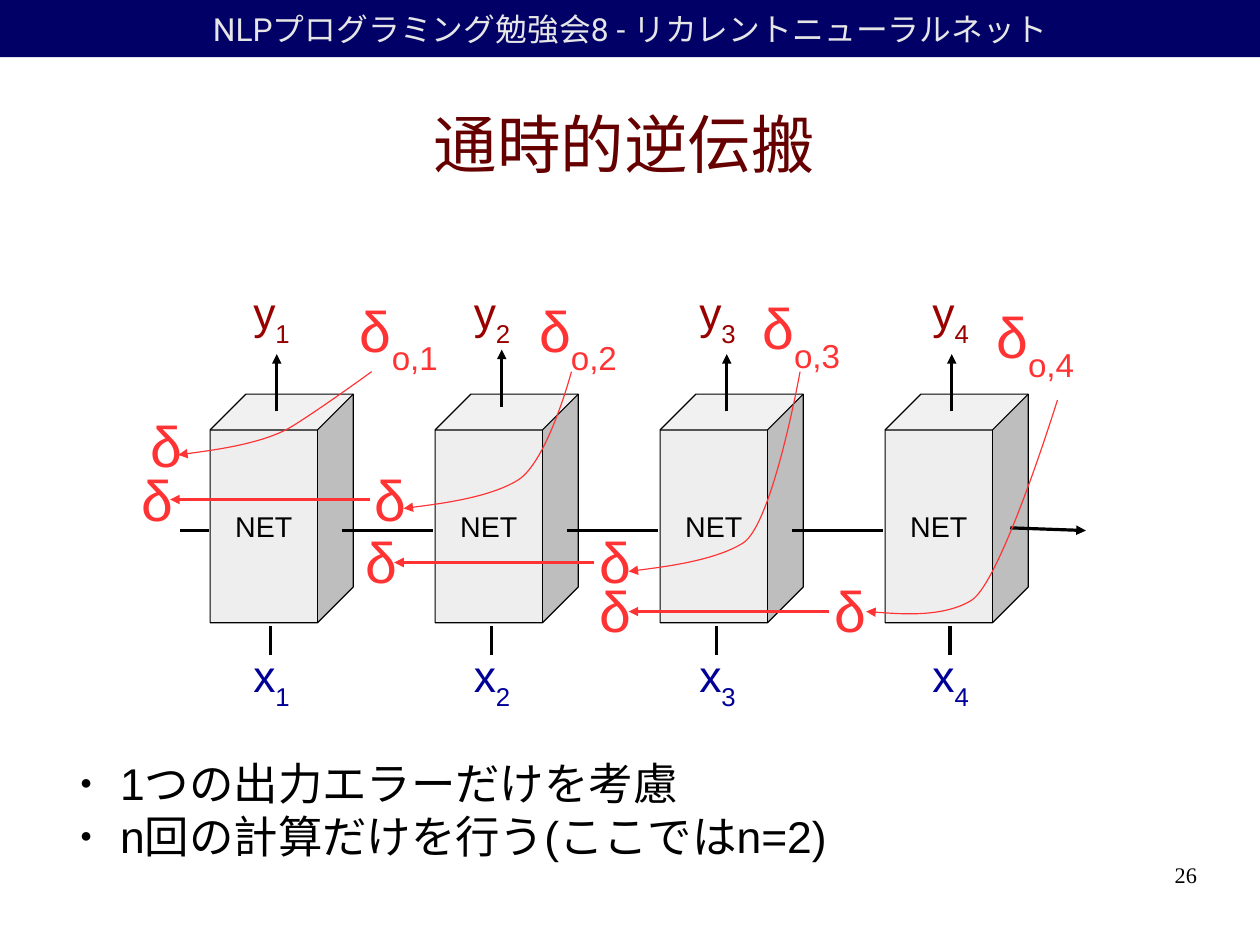
import dataclasses

import lxml.etree
import pptx
import pptx.dml.color
import pptx.enum.shapes
import pptx.enum.text
import pptx.oxml.ns
import pptx.util

Cm = pptx.util.Cm
Pt = pptx.util.Pt
RGB = pptx.dml.color.RGBColor.from_string
qn = pptx.oxml.ns.qn
SHAPE = pptx.enum.shapes.MSO_SHAPE
STRAIGHT = pptx.enum.shapes.MSO_CONNECTOR.STRAIGHT
ALIGN = pptx.enum.text.PP_ALIGN
ANCHOR = pptx.enum.text.MSO_ANCHOR
NO_FIT = pptx.enum.text.MSO_AUTO_SIZE.NONE


@dataclasses.dataclass(frozen=True)
class Theme:
    font: str = "Arial"
    banner_font: str = "Roboto"
    number_font: str = "Times New Roman"
    banner: str = "000066"
    banner_text: str = "E6E6E6"
    title: str = "660000"
    ink: str = "000000"
    cube: str = "EEEEEE"
    input: str = "000099"
    output: str = "990000"
    error: str = "FF3333"
    title_size: int = 40
    error_size: int = 36
    body_size: int = 28
    banner_size: int = 20
    net_size: int = 18
    number_size: int = 14


theme = Theme()
deck = pptx.Presentation()
deck.slide_width, deck.slide_height = Cm(28), Cm(21)
page = deck.slides.add_slide(deck.slide_layouts[1])
shapes = page.shapes


def write(box, text, size, color, font=theme.font, align=ALIGN.LEFT, subscript=""):
    para = box.text_frame.paragraphs[0]
    para.text = text
    para.alignment = align
    if subscript:
        span = para.add_run()
        span.text = subscript
        span._r.get_or_add_rPr().set("baseline", "-33000")
    for span in para.runs:
        span.font.name = font
        span.font.size = Pt(size)
        span.font.color.rgb = RGB(color)


def stroke(line_shape, color, arrow):
    line_shape.line.color.rgb = RGB(color)
    line_shape.line.width = Pt(0)
    if arrow:
        outline = line_shape.line._get_or_add_ln()
        lxml.etree.SubElement(outline, qn("a:tailEnd"), type="triangle")
    lxml.etree.SubElement(line_shape._element.spPr, qn("a:effectLst"))


banner = shapes.add_shape(SHAPE.RECTANGLE, 0, 0, Cm(28), Cm(1.27))
banner.shadow.inherit = False
banner.fill.solid()
banner.fill.fore_color.rgb = RGB(theme.banner)
banner.line.fill.background()
banner.text_frame.vertical_anchor = ANCHOR.MIDDLE
write(banner, "NLPプログラミング勉強会8 - リカレントニューラルネット",
      theme.banner_size, theme.banner_text, theme.banner_font, ALIGN.CENTER)

title, body = page.placeholders
title.left, title.top, title.width, title.height = Cm(1.27), Cm(1.58), Cm(25.2), Cm(3.22)
body.left, body.top, body.width, body.height = Cm(1.48), Cm(16.79), Cm(25.2), Cm(2.82)
number = shapes.add_textbox(Cm(20.07), Cm(19.13), Cm(6.53), Cm(1.45))
for box in (title, body, number):
    frame = box.text_frame
    frame.margin_left = frame.margin_right = frame.margin_top = frame.margin_bottom = 0
    frame.word_wrap = True
    frame.auto_size = NO_FIT
title.text_frame.vertical_anchor = ANCHOR.MIDDLE
write(title, "通時的逆伝搬", theme.title_size, theme.title, align=ALIGN.CENTER)
write(number, "26", theme.number_size, theme.ink, theme.number_font, ALIGN.RIGHT)

body.text_frame.vertical_anchor = ANCHOR.TOP
body.text_frame.text = "1つの出力エラーだけを考慮\nn回の計算だけを行う(ここではn=2)"
for para in body.text_frame.paragraphs:
    para.space_before = para.space_after = Pt(0)
    properties = para._p.get_or_add_pPr()
    properties.set("marL", str(Cm(1.19)))
    properties.set("indent", str(Cm(-0.89)))
    bullet_color = lxml.etree.SubElement(properties, qn("a:buClr"))
    lxml.etree.SubElement(bullet_color, qn("a:srgbClr"), val=theme.ink)
    lxml.etree.SubElement(properties, qn("a:buSzPct"), val="45000")
    lxml.etree.SubElement(properties, qn("a:buChar"), char="●")
    for span in para.runs:
        span.font.name = theme.font
        span.font.size = Pt(theme.body_size)
        span.font.color.rgb = RGB(theme.ink)

net_pitch = 5
for step in range(4):
    net = shapes.add_shape(SHAPE.CUBE, Cm(4.67 + net_pitch * step), Cm(8.76), Cm(3.18), Cm(5.08))
    net.adjustments[0] = 0.25
    net.fill.solid()
    net.fill.fore_color.rgb = RGB(theme.cube)
    stroke(net, theme.ink, False)
    net.text_frame.word_wrap = False
    net.text_frame.vertical_anchor = ANCHOR.MIDDLE
    write(net, "NET", theme.net_size, theme.ink, align=ALIGN.CENTER)

stems = [6.02, 10.92, 15.93, 21.11]
output_tops = [7.87, 7.77, 7.87, 7.87]
output_errors = [(7.75, 6.43), (11.73, 6.43), (16.69, 6.38), (21.89, 6.58)]
net_errors = [(3.1, 8.99), (8.08, 10.19), (13.08, 11.58), (18.29, 12.67)]
passed_errors = [(2.9, 10.19), (7.87, 11.58), (13.08, 12.67)]
passed_arrows = [(3.78, 11.1), (8.76, 12.5), (13.97, 13.59)]

lines = [(4.01, 11.79, 4.65, 11.79, theme.ink, False),
         (22.45, 11.73, 24.13, 11.79, theme.ink, True)]
for step in range(3):
    left = 7.61 + net_pitch * step
    lines.append((left, 11.79, left + 2.02, 11.79, theme.ink, False))
for stem in stems:
    lines.append((stem, 14.55, stem, 13.92, theme.ink, False))
for step, top in enumerate(output_tops):
    center = 6.15 + net_pitch * step
    lines.append((center, top + 1.27, center, top, theme.ink, True))
for tip, height in passed_arrows:
    lines.append((tip + 4.45, height, tip, height, theme.error, True))

for start_x, start_y, end_x, end_y, color, arrow in lines:
    line = shapes.add_connector(STRAIGHT, Cm(start_x), Cm(start_y), Cm(end_x), Cm(end_y))
    stroke(line, color, arrow)

error_curves = [
    ((8.26, 8.26), (6.5, 9.47), (3.96, 10.11)),
    ((12.7, 8.26), (11.51, 10.67), (8.97, 11.3)),
    ((17.78, 8.26), (16.51, 12.07), (13.97, 12.7)),
    ((23.5, 8.89), (21.59, 13.34), (19.25, 13.59)),
]
for start, bend, end in error_curves:
    before = (bend[0] + 0.66, bend[1] - 0.41)
    after = (bend[0] - 0.66, bend[1] + 0.41)
    builder = shapes.build_freeform(Cm(start[0]), Cm(start[1]))
    builder.add_line_segments(
        [(Cm(x), Cm(y)) for x, y in (start, before, bend, after, end, end)], close=False)
    curve = builder.convert_to_shape()
    curve.fill.background()
    stroke(curve, theme.error, True)
    outline = next(curve._element.iter(qn("a:path")))
    segments = outline.findall(qn("a:lnTo"))
    for first in (0, 3):
        bezier = lxml.etree.SubElement(outline, qn("a:cubicBezTo"))
        for segment in segments[first:first + 3]:
            bezier.append(segment[0])
            outline.remove(segment)

labels = []
for step, stem in enumerate(stems, 1):
    labels.append((stem - 0.64, 14.27, 1.32, 1.6, "x", str(step), theme.body_size, theme.input))
    labels.append((stem - 0.64, 6.2, 1.32, 1.6, "y", str(step), theme.body_size, theme.output))
for step, (left, top) in enumerate(output_errors, 1):
    labels.append((left, top, 2.24, 1.98, "δ", f"o,{step}", theme.error_size, theme.error))
for left, top in net_errors + passed_errors:
    labels.append((left, top, 1.22, 1.68, "δ", "", theme.error_size, theme.error))

for left, top, width, height, symbol, subscript, size, color in labels:
    label = shapes.add_textbox(Cm(left), Cm(top), Cm(width), Cm(height))
    label.text_frame.word_wrap = False
    write(label, symbol, size, color, subscript=subscript)

deck.save("out.pptx")
